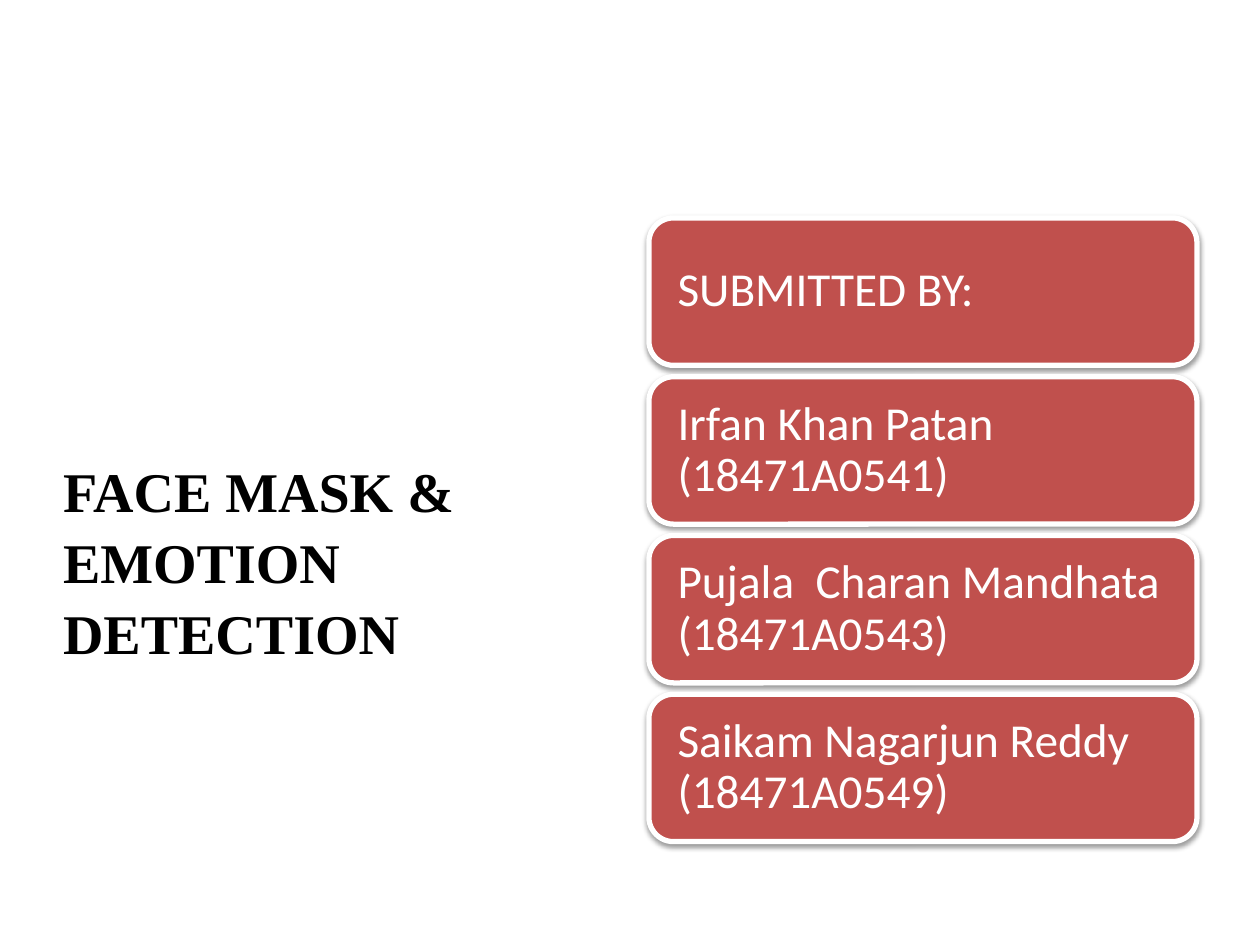
from lxml import etree
from pptx import Presentation
from pptx.dml.color import RGBColor
from pptx.enum.shapes import MSO_SHAPE as Shape
from pptx.enum.text import MSO_ANCHOR as Anchor, PP_ALIGN as Align
from pptx.oxml.ns import qn
from pptx.util import Inches, Pt

MEMBERS = [
    "SUBMITTED BY:",
    "Irfan Khan Patan (18471A0541)",
    "Pujala  Charan Mandhata (18471A0543)",
    "Saikam Nagarjun Reddy (18471A0549)",
]


def color(value):
    return RGBColor.from_string(value)


def format_text(p, font, size, value, spacing, bold=False):
    p.alignment = Align.LEFT
    p.line_spacing = spacing
    for r in p.runs:
        r.font.name = font
        r.font.size = Pt(size)
        r.font.bold = bold
        r.font.color.rgb = color(value)


def add_shadow(sp):
    sp.shadow.inherit = False
    effects = sp._element.spPr.find(qn("a:effectLst"))
    shadow = etree.SubElement(
        effects, qn("a:outerShdw"), blurRad=str(Pt(3.1)), dist=str(Pt(1.6)),
        dir="5400000", rotWithShape="0")
    black = etree.SubElement(shadow, qn("a:srgbClr"), val="000000")
    etree.SubElement(black, qn("a:alpha"), val="38000")


def place_title(s, left, top, width, height):
    sp = s.shapes.title
    sp.left, sp.top = Inches(left), Inches(top)
    sp.width, sp.height = Inches(width), Inches(height)
    tf = sp.text_frame
    tf.text = "FACE MASK & EMOTION DETECTION"
    tf.word_wrap = True
    tf.vertical_anchor = Anchor.TOP
    tf.margin_left = tf.margin_right = tf.margin_bottom = 0
    tf.margin_top = Inches(1.87)
    format_text(tf.paragraphs[0], "Times New Roman", 32, "000000", 1.05, True)


def add_card(s, text, left, top, width, height):
    sp = s.shapes.add_shape(
        Shape.ROUNDED_RECTANGLE,
        Inches(left), Inches(top), Inches(width), Inches(height))
    sp.fill.solid()
    sp.fill.fore_color.rgb = color("C0504D")
    sp.line.color.rgb = color("FFFFFF")
    sp.line.width = Pt(3)
    add_shadow(sp)
    tf = sp.text_frame
    tf.text = text
    tf.word_wrap = True
    tf.vertical_anchor = Anchor.MIDDLE
    tf.margin_left = tf.margin_right = Inches(0.17)
    tf.margin_top = tf.margin_bottom = Inches(0.11)
    format_text(tf.paragraphs[0], "Calibri", 27, "FFFFFF", 0.9)


def add_members(s, left, top, width, height, gap=0.09):
    card_height = (height - gap * (len(MEMBERS) - 1)) / len(MEMBERS)
    for i, text in enumerate(MEMBERS):
        add_card(s, text, left, top + i * (card_height + gap), width, card_height)


def main():
    prs = Presentation()
    prs.slide_width, prs.slide_height = Inches(10), Inches(7.5)
    s = prs.slides.add_slide(prs.slide_layouts[5])
    place_title(s, 0.5, 1.73, 4.35, 4.95)
    add_members(s, 5.15, 1.73, 4.35, 4.95)
    prs.save("out.pptx")


if __name__ == "__main__":
    main()
